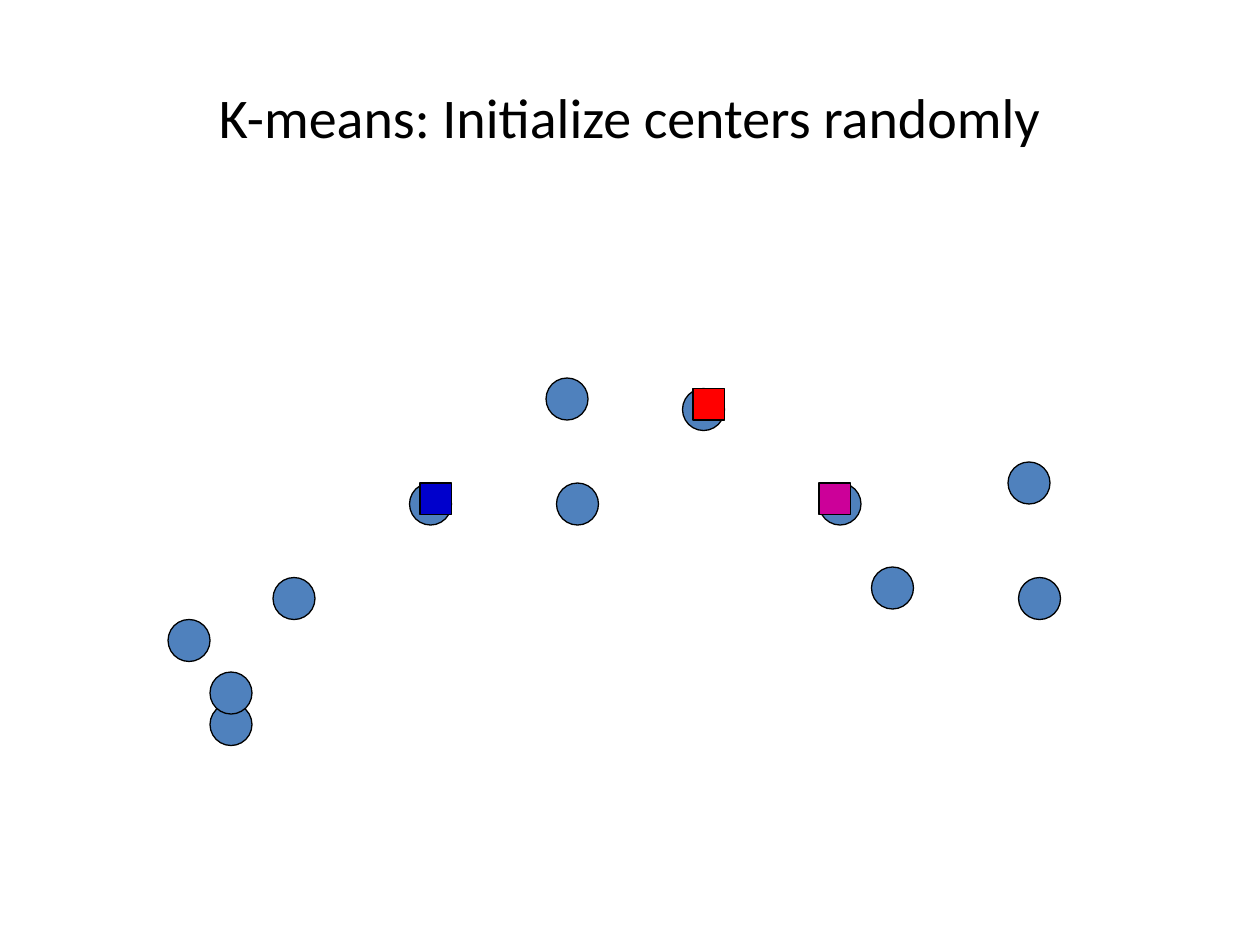
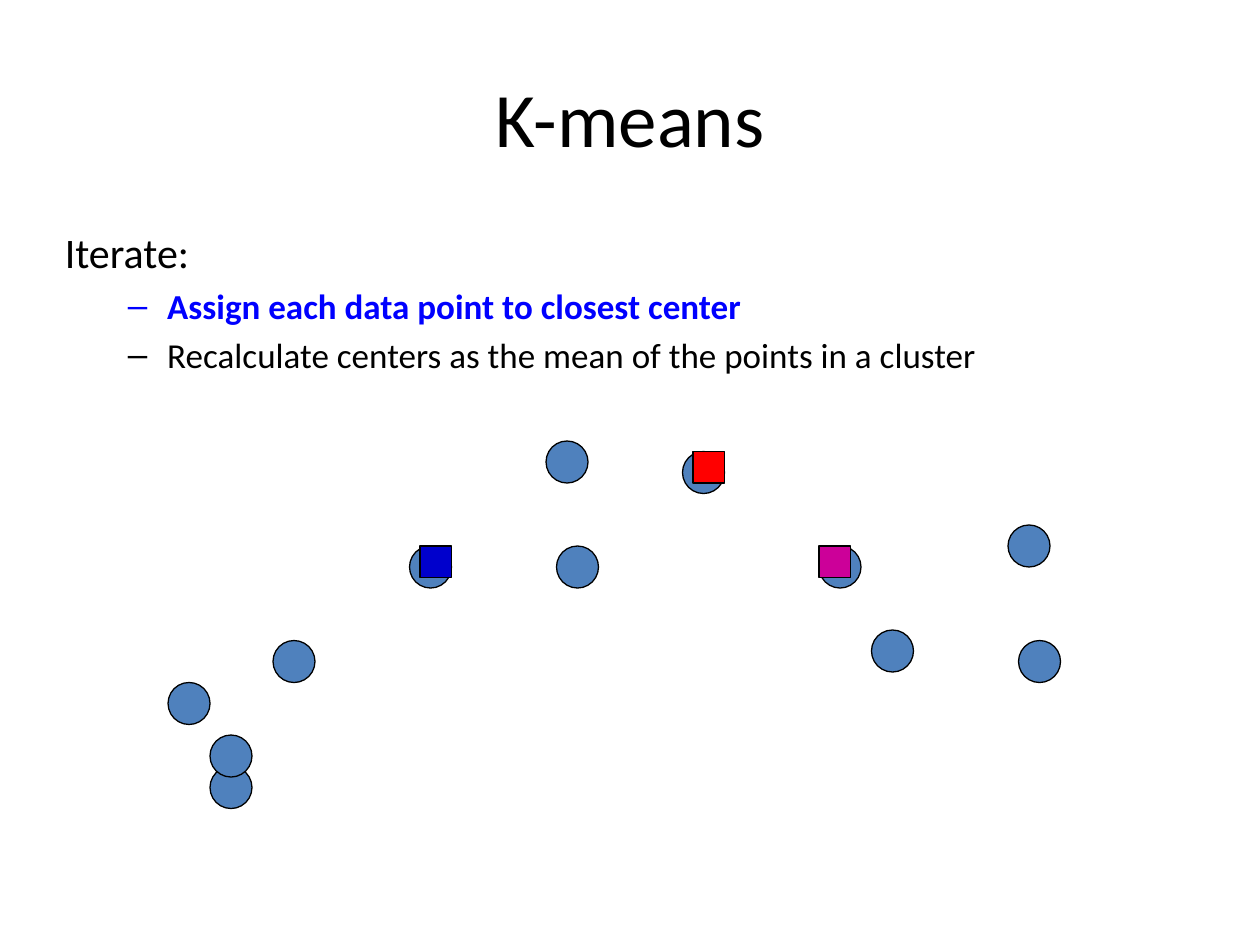
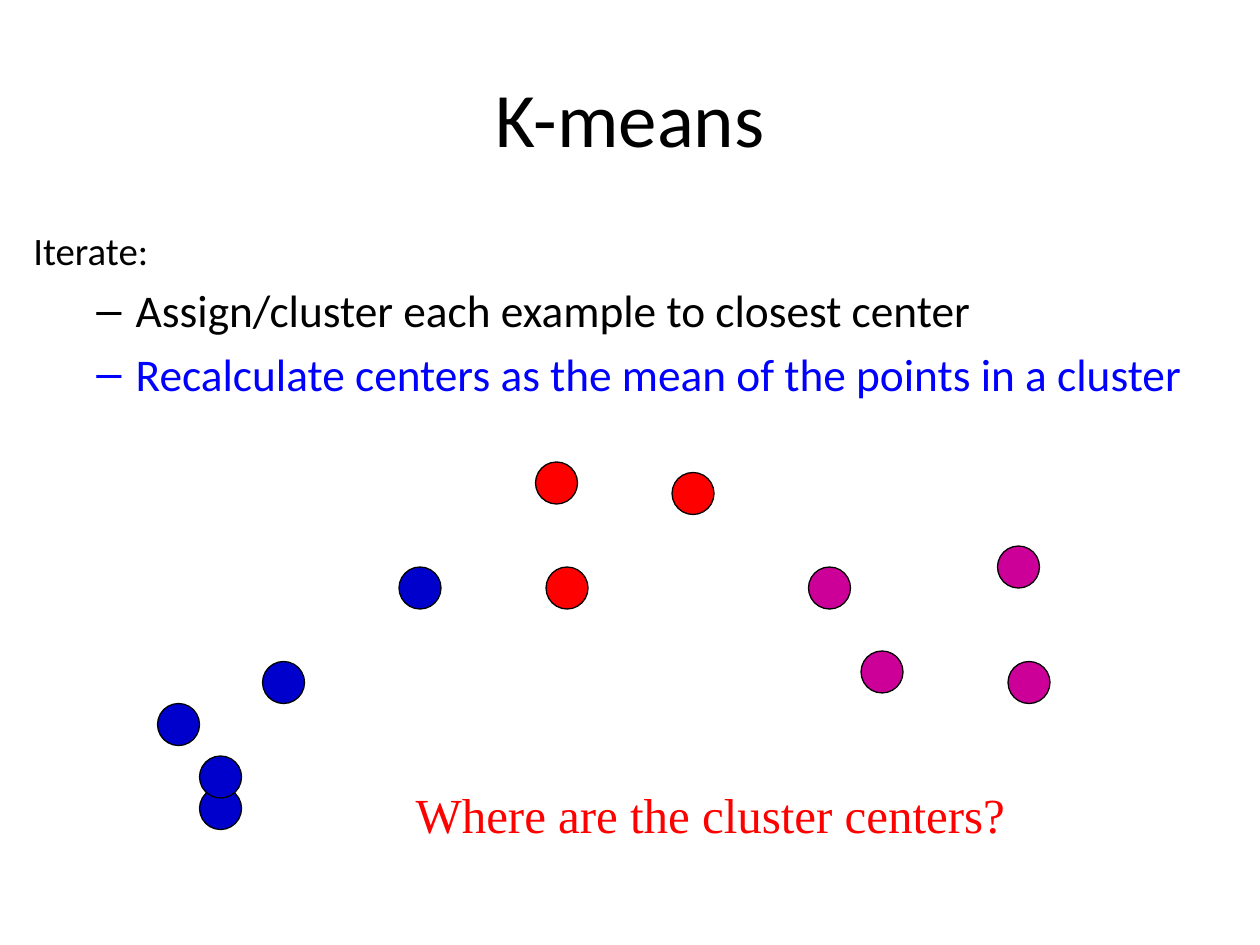
from lxml import etree
from pptx import Presentation
from pptx.dml.color import RGBColor
from pptx.enum.shapes import MSO_SHAPE
from pptx.enum.text import MSO_ANCHOR, MSO_AUTO_SIZE, PP_ALIGN
from pptx.oxml.ns import qn
from pptx.util import Pt

OVAL = MSO_SHAPE.OVAL
RECTANGLE = MSO_SHAPE.RECTANGLE
MIDDLE = MSO_ANCHOR.MIDDLE
GROW = MSO_AUTO_SIZE.SHAPE_TO_FIT_TEXT
LEFT = PP_ALIGN.LEFT
CENTER = PP_ALIGN.CENTER

BLACK = RGBColor(0x00, 0x00, 0x00)
STEEL = RGBColor(0x4F, 0x81, 0xBD)
NAVY = RGBColor(0x00, 0x00, 0xCC)
RED = RGBColor(0xFF, 0x00, 0x00)
MAGENTA = RGBColor(0xCC, 0x00, 0x99)
BLUE = RGBColor(0x00, 0x00, 0xFF)

SANS = "Calibri"
SERIF = "Times New Roman"
TITLE_ONLY = 5
POINT_SIZE = 24
CENTER_SIZE = 18

DATA_POINTS = [
    (120, 402, NAVY),
    (96, 354, NAVY),
    (156, 330, NAVY),
    (576, 264, MAGENTA),
    (312, 216, RED),
    (390, 222, RED),
    (318, 276, RED),
    (234, 276, NAVY),
    (582, 330, MAGENTA),
    (468, 276, MAGENTA),
    (120, 384, NAVY),
    (498, 324, MAGENTA),
]
INITIAL_CENTERS = [(240, 276, NAVY), (396, 222, RED), (468, 276, MAGENTA)]


def write_paragraph(para, text, size, color=BLACK, font=SANS, bold=False,
                    align=LEFT, before=0):
    para.alignment = align
    para.space_before = Pt(before)
    span = para.add_run()
    span.text = text
    span.font.name = font
    span.font.size = Pt(size)
    span.font.bold = bold
    span.font.color.rgb = color


def add_dash(para):
    properties = para._p.get_or_add_pPr()
    properties.set("marL", str(Pt(58.5)))
    properties.set("indent", str(Pt(-22.5)))
    etree.SubElement(properties, qn("a:buFont")).set("typeface", "Arial")
    etree.SubElement(properties, qn("a:buChar")).set("char", "–")


def add_page(deck, title, size=44):
    page = deck.slides.add_slide(deck.slide_layouts[TITLE_ONLY])
    box = page.shapes.title
    box.left, box.top, box.width, box.height = Pt(36), Pt(21.6), Pt(648), Pt(90)
    box.text_frame.vertical_anchor = MIDDLE
    write_paragraph(box.text_frame.paragraphs[0], title, size, align=CENTER)
    return page


def add_text_box(page, left, top, width, height, wrap=True):
    box = page.shapes.add_textbox(Pt(left), Pt(top), Pt(width), Pt(height))
    box.text_frame.word_wrap = wrap
    return box.text_frame


def add_steps(page, left, width, height, heading_size, step_size, steps):
    frame = add_text_box(page, left, 126, width, height)
    write_paragraph(frame.paragraphs[0], "Iterate:", heading_size,
                    before=round(heading_size * 0.2, 1))
    for text, style in steps:
        para = frame.add_paragraph()
        write_paragraph(para, text, step_size,
                        before=round(step_size * 0.2, 1), **style)
        add_dash(para)


def add_marker(page, kind, left, top, size, color):
    marker = page.shapes.add_shape(kind, Pt(left), Pt(top), Pt(size), Pt(size))
    marker.shadow.inherit = False
    marker.fill.solid()
    marker.fill.fore_color.rgb = color
    marker.line.color.rgb = BLACK
    marker.line.width = Pt(0.75)


def add_data_points(page, shift_x=0, shift_y=0, clustered=False):
    for left, top, cluster in DATA_POINTS:
        add_marker(page, OVAL, left + shift_x, top + shift_y, POINT_SIZE,
                   cluster if clustered else STEEL)


def add_centers(page, shift_y=0):
    for left, top, color in INITIAL_CENTERS:
        add_marker(page, RECTANGLE, left, top + shift_y, CENTER_SIZE, color)


def build_initialize(deck):
    page = add_page(deck, "K-means: Initialize centers randomly", size=32)
    add_data_points(page)
    add_centers(page)


def build_assign(deck):
    page = add_page(deck, "K-means")
    add_steps(page, 30, 642, 102, 24, 20, [
        ("Assign each data point to closest center",
         {"color": BLUE, "bold": True}),
        ("Recalculate centers as the mean of the points in a cluster", {}),
    ])
    add_data_points(page, shift_y=36)
    add_centers(page, shift_y=36)


def build_recalculate(deck):
    page = add_page(deck, "K-means")
    add_steps(page, 12, 690, 120, 22.2, 25.9, [
        ("Assign/cluster each example to closest center", {}),
        ("Recalculate centers as the mean of the points in a cluster",
         {"color": BLUE}),
    ])
    add_data_points(page, shift_x=-6, shift_y=48, clustered=True)
    frame = add_text_box(page, 230.4, 445, 356.4, 41, wrap=False)
    frame.auto_size = GROW
    write_paragraph(frame.paragraphs[0], "Where are the cluster centers?", 28,
                    color=RED, font=SERIF)


def main():
    deck = Presentation()
    deck.slide_width, deck.slide_height = Pt(720), Pt(540)
    build_initialize(deck)
    build_assign(deck)
    build_recalculate(deck)
    deck.save("out.pptx")


if __name__ == "__main__":
    main()
